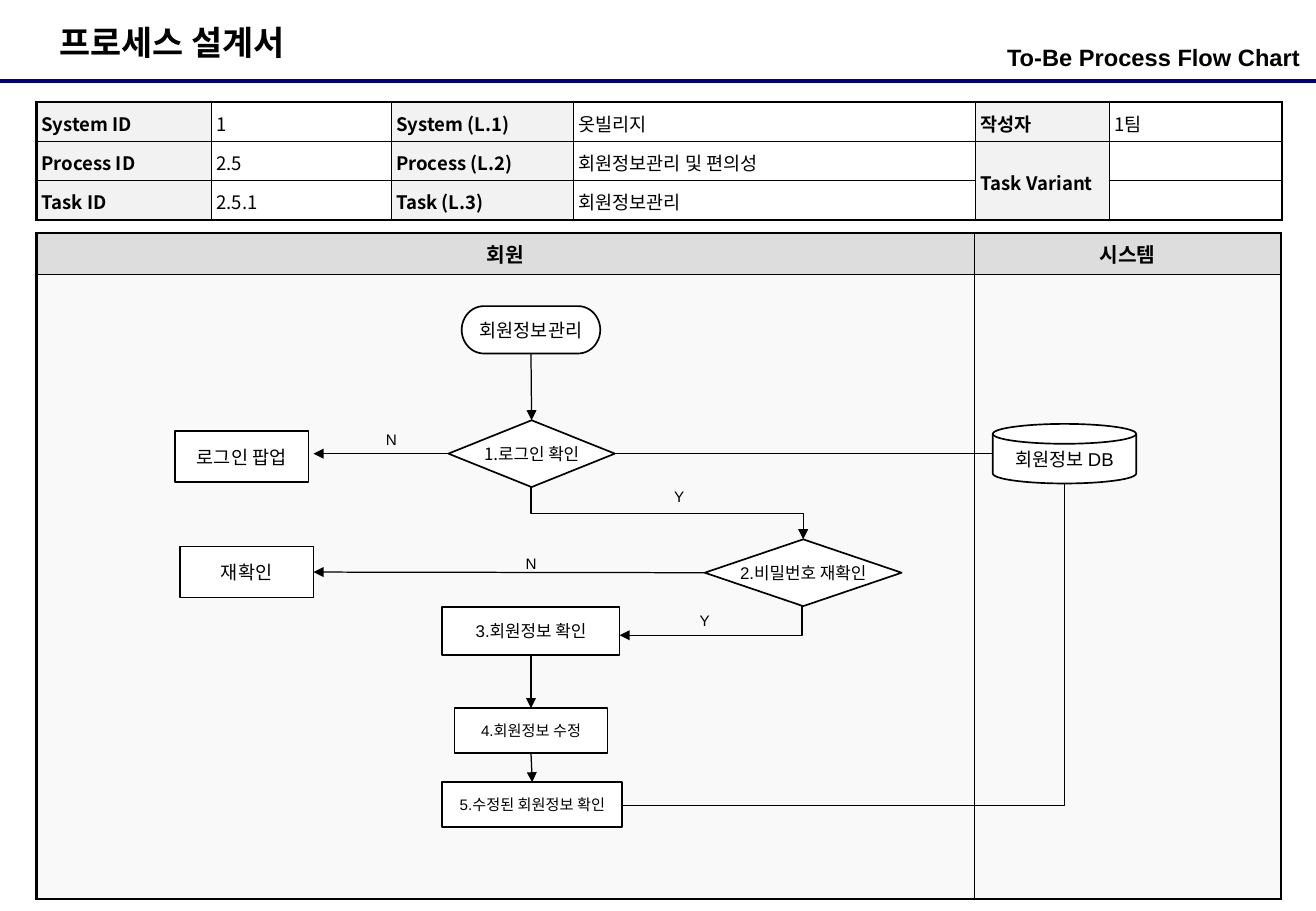
from lxml import etree
from pptx import Presentation
from pptx.dml.color import RGBColor
from pptx.enum.shapes import MSO_CONNECTOR, MSO_SHAPE
from pptx.enum.text import MSO_ANCHOR, MSO_AUTO_SIZE, PP_ALIGN
from pptx.oxml.ns import qn
from pptx.util import Inches, Pt

BLACK = RGBColor(0x00, 0x00, 0x00)
WHITE = RGBColor(0xFF, 0xFF, 0xFF)
NAVY = RGBColor(0x00, 0x00, 0x80)
LABEL_GRAY = RGBColor(0xF2, 0xF2, 0xF2)
HEADER_GRAY = RGBColor(0xDD, 0xDD, 0xDD)
LANE_GRAY = RGBColor(0xF9, 0xF9, 0xF9)

KOREAN_FONT = "Noto Sans CJK KR"
LATIN_FONT = "Arial"

LEFT, CENTER, RIGHT = PP_ALIGN.LEFT, PP_ALIGN.CENTER, PP_ALIGN.RIGHT
TOP_ANCHOR, MIDDLE = MSO_ANCHOR.TOP, MSO_ANCHOR.MIDDLE
NO_AUTOFIT = MSO_AUTO_SIZE.NONE
STRAIGHT, ELBOW = MSO_CONNECTOR.STRAIGHT, MSO_CONNECTOR.ELBOW
RECTANGLE = MSO_SHAPE.RECTANGLE
TERMINATOR = MSO_SHAPE.FLOWCHART_TERMINATOR
DECISION = MSO_SHAPE.FLOWCHART_DECISION
DISK = MSO_SHAPE.FLOWCHART_MAGNETIC_DISK

TOP, LEFT_SIDE, BOTTOM, RIGHT_SIDE = range(4)
DISK_LEFT, DISK_BOTTOM = 2, 3

INFO_ROWS = [
    ["System ID", "1", "System (L.1)", "옷빌리지", "작성자", "1팀"],
    ["Process ID", "2.5", "Process (L.2)", "회원정보관리 및 편의성", "Task Variant", ""],
    ["Task ID", "2.5.1", "Task (L.3)", "회원정보관리", "", ""],
]
LANE_ROWS = [["회원", "시스템"], ["", ""]]

# name: (shape, left, top, width, height, text, size, font)
STEPS = {
    "start": (TERMINATOR, 3.8, 2.52, 1.14, 0.39, "회원정보관리", 11, LATIN_FONT),
    "login": (DECISION, 3.69, 3.46, 1.37, 0.55, "1.로그인 확인", 10, KOREAN_FONT),
    "popup": (RECTANGLE, 1.44, 3.55, 1.1, 0.42, "로그인 팝업", 11, LATIN_FONT),
    "password": (DECISION, 5.8, 4.44, 1.62, 0.55, "2.비밀번호 재확인", 10, LATIN_FONT),
    "recheck": (RECTANGLE, 1.48, 4.5, 1.1, 0.42, "재확인", 11, LATIN_FONT),
    "review": (RECTANGLE, 3.64, 5, 1.46, 0.39, "3.회원정보 확인", 10, LATIN_FONT),
    "edit": (RECTANGLE, 3.74, 5.83, 1.26, 0.37, "4.회원정보 수정", 9, LATIN_FONT),
    "edited": (RECTANGLE, 3.64, 6.44, 1.48, 0.37, "5.수정된 회원정보 확인", 9, LATIN_FONT),
    "database": (DISK, 8.17, 3.49, 1.18, 0.49, "회원정보 DB", 11, LATIN_FONT),
}
# text, left, top, width
BRANCH_LABELS = [("N", 3.01, 3.49, 0.42), ("Y", 5.44, 3.96, 0.3),
                 ("N", 4.16, 4.51, 0.42), ("Y", 5.65, 4.98, 0.3)]
ARROWS = [("start", BOTTOM, "login", TOP), ("review", BOTTOM, "edit", TOP),
          ("edit", BOTTOM, "edited", TOP), ("password", LEFT_SIDE, "recheck", RIGHT_SIDE)]


def write_text(frame, text, size, font=LATIN_FONT, bold=False, align=LEFT,
               anchor=TOP_ANCHOR, margins=(0.1, 0.05), wrap=True):
    side, end = (Inches(margin) for margin in margins)
    formats = {"auto_size": NO_AUTOFIT, "word_wrap": wrap, "vertical_anchor": anchor,
               "margin_left": side, "margin_right": side,
               "margin_top": end, "margin_bottom": end}
    for name, value in formats.items():
        setattr(frame, name, value)
    para = frame.paragraphs[0]
    para.alignment = align
    span = para.add_run()
    span.text = text
    for name, value in {"size": Pt(size), "bold": bold, "name": font}.items():
        setattr(span.font, name, value)
    span.font.color.rgb = BLACK
    etree.SubElement(span.font._element, qn("a:ea"), typeface=KOREAN_FONT)
    return para


def place(shape, *bounds):
    for name, value in zip(("left", "top", "width", "height"), bounds):
        setattr(shape, name, Inches(value))


def add_headings(slide):
    title, body = slide.placeholders
    place(title, 0.39, 0.13, 2.26, 0.44)
    write_text(title.text_frame, "프로세스 설계서", 20, KOREAN_FONT, True)
    place(body, 7.39, 0.3, 3.31, 0.39)
    para = write_text(body.text_frame, "To-Be Process Flow Chart", 14, bold=True,
                      align=RIGHT, margins=(0, 0.05))
    para.space_before = Pt(0)
    properties = para._p.get_or_add_pPr()
    properties.set("marL", "0")
    properties.set("indent", "0")
    etree.SubElement(properties, qn("a:buNone"))


def set_borders(cell, widths):
    """Draw the left, right, top and bottom borders with widths in points."""
    properties = cell._tc.get_or_add_tcPr()
    for index, (side, width) in enumerate(zip("LRTB", widths)):
        border = etree.Element(qn(f"a:ln{side}"), w=str(Pt(width)))
        fill = etree.SubElement(border, qn("a:solidFill"))
        etree.SubElement(fill, qn("a:srgbClr"), val=str(BLACK))
        properties.insert(index, border)


def add_grid(slide, top, widths, heights, rows, inner, fill_for, format_for):
    """Add a table whose outer borders are 1.5 points and inner ones as given."""
    frame = slide.shapes.add_table(len(heights), len(widths), Inches(0.3), Inches(top),
                                   Inches(sum(widths)), Inches(sum(heights)))
    table = frame.table
    table.first_row = table.horz_banding = False
    for column, width in zip(table.columns, widths):
        column.width = Inches(width)
    for row, height in zip(table.rows, heights):
        row.height = Inches(height)
    last_row, last_column = len(heights) - 1, len(widths) - 1
    for y, texts in enumerate(rows):
        for x, text in enumerate(texts):
            cell = table.cell(y, x)
            edges = (x == 0, x == last_column, y == 0, y == last_row)
            color = fill_for(y, x)
            if color is None:
                cell.fill.background()
            else:
                cell.fill.solid()
                cell.fill.fore_color.rgb = color
            set_borders(cell, [1.5 if edge else inner for edge in edges])
            cell.vertical_anchor = MIDDLE
            formats = format_for(x)
            for side in ("left", "right", "top", "bottom"):
                setattr(cell, f"margin_{side}", Inches(formats["margin"]))
            para = cell.text_frame.paragraphs[0]
            if text:
                write_cell(para, text, formats)
            else:
                etree.SubElement(para._p, qn("a:endParaRPr"), sz="1100")
    return table


def write_cell(para, text, formats):
    para.alignment = formats["align"]
    para.line_spacing = formats["spacing"]
    span = para.add_run()
    span.text = text
    for name in ("size", "bold", "name"):
        setattr(span.font, name, formats[name])
    span.font.color.rgb = BLACK
    etree.SubElement(span.font._element, qn("a:ea"), typeface=KOREAN_FONT)


def info_format(column):
    return {"margin": 0.04, "align": LEFT, "spacing": 1.1, "size": Pt(11),
            "bold": column % 2 == 0, "name": KOREAN_FONT}


def lane_format(column):
    return {"margin": 0.05, "align": CENTER, "spacing": 1.0, "size": Pt(12),
            "bold": True, "name": KOREAN_FONT}


def add_step(slide, kind, left, top, width, height, text, size, font):
    shape = slide.shapes.add_shape(kind, *map(Inches, (left, top, width, height)))
    shape.shadow.inherit = False
    shape.fill.solid()
    shape.fill.fore_color.rgb = WHITE
    shape.line.color.rgb = BLACK
    shape.line.width = Pt(1)
    write_text(shape.text_frame, text, size, font, align=CENTER, anchor=MIDDLE,
               margins=(0.02, 0), wrap=kind not in (DECISION, DISK))
    return shape


def style_line(shape, arrow=True, color=BLACK, width=0.75):
    shape.line.color.rgb = color
    shape.line.width = Pt(width)
    properties = shape._element.spPr
    if arrow:
        etree.SubElement(properties.find(qn("a:ln")), qn("a:tailEnd"), type="triangle")
    etree.SubElement(properties, qn("a:effectLst"))


def add_line(slide, *points, **style):
    connector = slide.shapes.add_connector(STRAIGHT, *map(Inches, points))
    style_line(connector, **style)
    return connector


def add_vertical_elbow(slide, source, source_site, target, target_site, points, preset, arrow):
    """Join two steps with an elbow that leaves the first one downwards."""
    x1, y1, x2, y2 = points
    center_x, center_y = (x1 + x2) / 2, (y1 + y2) / 2
    half_x, half_y = (x2 - x1) / 2, (y2 - y1) / 2
    connector = slide.shapes.add_connector(ELBOW, 0, 0, 0, 0)
    connector.begin_connect(source, source_site)
    connector.end_connect(target, target_site)
    turned = {"begin_x": center_x - half_y, "begin_y": center_y + half_x,
              "end_x": center_x + half_y, "end_y": center_y - half_x}
    for name, value in turned.items():
        setattr(connector, name, Inches(value))
    properties = connector._element.spPr
    properties.find(qn("a:xfrm")).set("rot", str(90 * 60000))
    properties.find(qn("a:prstGeom")).set("prst", preset)
    style_line(connector, arrow)


def add_bent_arrow(slide, start, *points):
    builder = slide.shapes.build_freeform(*map(Inches, start))
    builder.add_line_segments([tuple(map(Inches, point)) for point in points], close=False)
    shape = builder.convert_to_shape()
    shape.fill.background()
    style_line(shape)


def add_flow(slide):
    steps = {name: add_step(slide, *values) for name, values in STEPS.items()}
    for source, source_site, target, target_site in ARROWS:
        connector = add_line(slide, 0, 0, 0, 0)
        connector.begin_connect(steps[source], source_site)
        connector.end_connect(steps[target], target_site)
    popup_arrow = add_line(slide, 3.69, 3.73, 2.58, 3.73)
    popup_arrow.begin_connect(steps["login"], LEFT_SIDE)
    popup_arrow.end_y = popup_arrow.begin_y
    lookup = add_line(slide, 5.06, 3.73, 8.17, 3.73, arrow=False)
    lookup.begin_connect(steps["login"], RIGHT_SIDE)
    lookup.end_connect(steps["database"], DISK_LEFT)
    lookup.end_x, lookup.end_y = Inches(8.17), lookup.begin_y
    add_vertical_elbow(slide, steps["login"], BOTTOM, steps["password"], TOP,
                       (4.37, 4.01, 6.61, 4.44), "bentConnector3", True)
    add_vertical_elbow(slide, steps["database"], DISK_BOTTOM, steps["edited"], RIGHT_SIDE,
                       (8.76, 3.98, 5.12, 6.63), "bentConnector2", False)
    add_bent_arrow(slide, (6.6, 4.99), (6.6, 5.23), (5.1, 5.23))
    for text, left, top, width in BRANCH_LABELS:
        box = slide.shapes.add_textbox(*map(Inches, (left, top, width, 0.25)))
        write_text(box.text_frame, text, 9, align=CENTER, anchor=MIDDLE)


def main():
    deck = Presentation()
    deck.slide_width, deck.slide_height = Inches(10.83), Inches(7.5)
    slide = deck.slides.add_slide(deck.slide_layouts[1])
    add_line(slide, 0, 0.67, 10.83, 0.67, arrow=False, color=NAVY, width=2.25)
    add_headings(slide)
    info = add_grid(slide, 0.84, [1.44, 1.48, 1.5, 3.31, 1.1, 1.42], [0.31] * 3, INFO_ROWS, 1,
                    lambda row, column: None if column % 2 else LABEL_GRAY, info_format)
    info.cell(1, 4).merge(info.cell(2, 4))
    add_grid(slide, 1.92, [7.72, 2.52], [0.34, 5.14], LANE_ROWS, 0.75,
             lambda row, column: LANE_GRAY if row else HEADER_GRAY, lane_format)
    add_flow(slide)
    deck.save("out.pptx")


if __name__ == "__main__":
    main()
